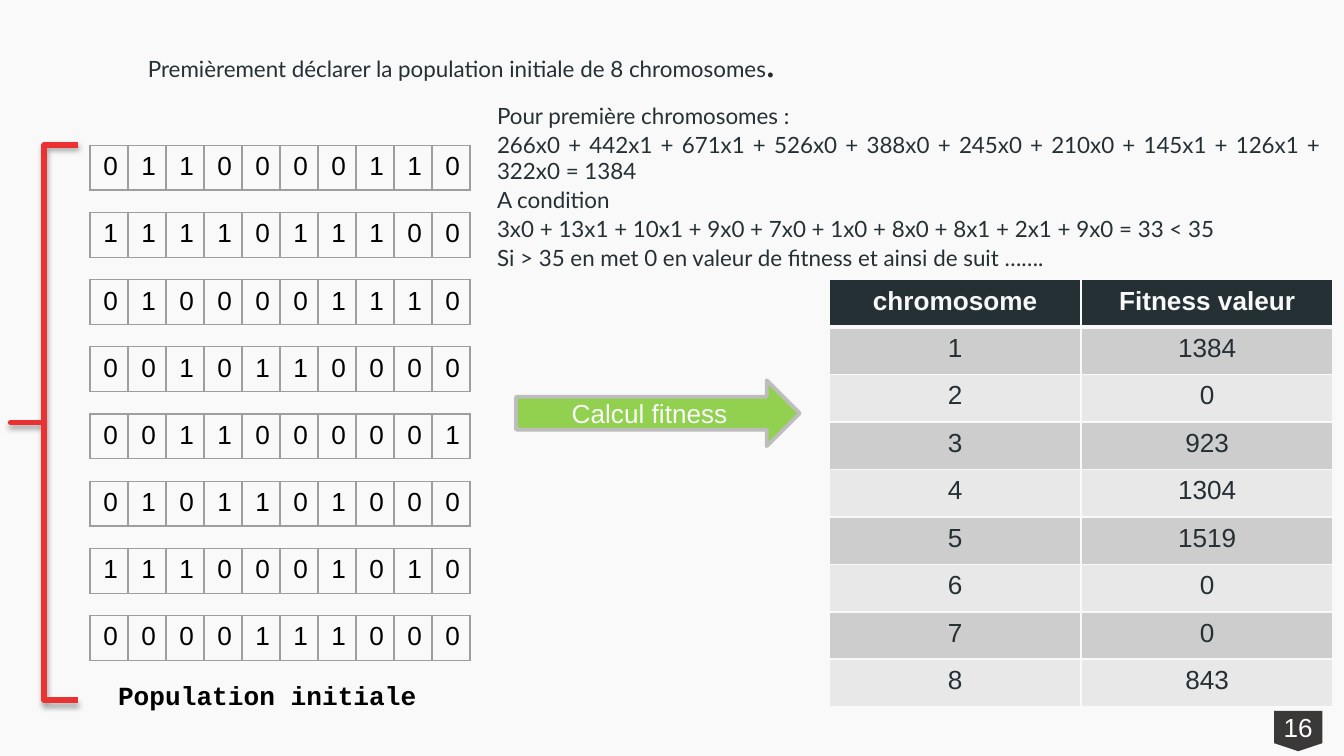
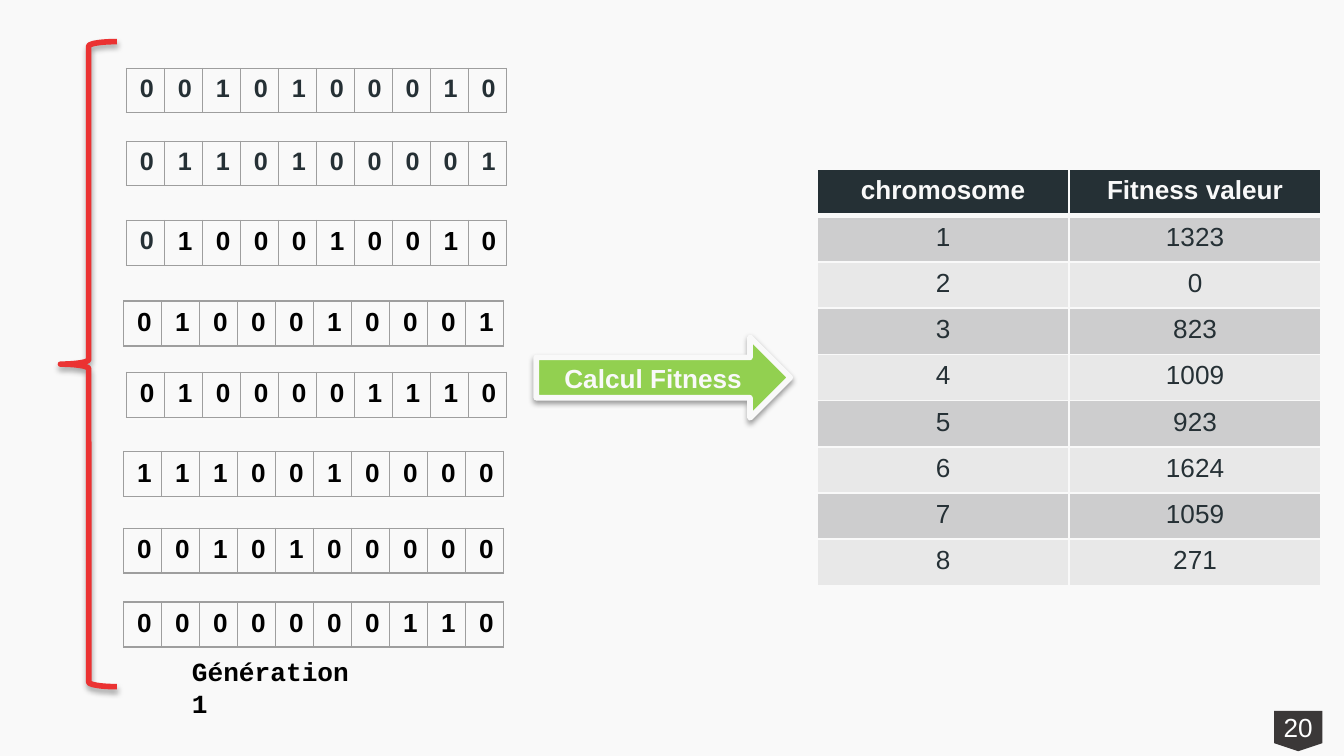
from dataclasses import dataclass
from lxml.etree import SubElement
from pptx import Presentation
from pptx.dml.color import RGBColor
from pptx.enum.shapes import MSO_SHAPE
from pptx.enum.text import MSO_ANCHOR, MSO_AUTO_SIZE, PP_ALIGN
from pptx.oxml.ns import qn
from pptx.util import Emu, Inches, Pt


@dataclass(frozen=True)
class Theme:
    paper: str = "F9F9F9"
    ink: str = "253035"
    black: str = "000000"
    title_dot: str = "292929"
    gene_border: str = "9E9E9E"
    arrow_border: str = "BDBDBD"
    brace: str = "EB3232"
    arrow: str = "92D050"
    badge: str = "3B3838"
    white: str = "FFFFFF"
    bands: tuple = ("CDCDCE", "E8E8E8")
    body_size: float = 12
    inherited_size: float = 13.5
    main_size: float = 14


@dataclass(frozen=True)
class Box:
    """A region in grid columns and rows."""
    left: float
    top: float
    width: float
    height: float

    @property
    def emu(self):
        return [grid(n) for n in (self.left, self.top, self.width, self.height)]


THEME = Theme()
GRID_STEP = Inches(0.1)
GRID_COLUMNS, GRID_ROWS = 100, 56.25


def grid(count):
    return Emu(round(count * GRID_STEP))


def font_format(name="Arial", size=THEME.main_size, color=THEME.black, bold=False):
    return {"name": name, "size": Pt(size), "bold": bold, "color": color}


TITLE = font_format("Lato", THEME.body_size, THEME.ink)
TITLE_DOT = font_format("TeX Gyre Schola", color=THEME.title_dot, bold=True)
CAPTION = font_format("Courier New", bold=True)
GENE = font_format()
BOLD_GENE = font_format(bold=True)
INHERITED_GENE = font_format(size=THEME.inherited_size, color=THEME.ink, bold=True)
HEADER = font_format(color=THEME.paper, bold=True)
VALUE = font_format(color=THEME.ink)
ARROW_LABEL = font_format(color=THEME.paper)
BADGE = font_format(color=THEME.white)


def add_span(para, text, font):
    span = para.add_run()
    span.text = text
    for name, value in font.items():
        if name == "color":
            span.font.color.rgb = RGBColor.from_string(value)
        else:
            setattr(span.font, name, value)


def set_format(target, **values):
    for name, value in values.items():
        setattr(target, name, value)


def paint(shape, fill=None, line=None, width=0, shadow=None):
    """Fill and outline a shape; shadow is (opacity %, blur pt, distance pt)."""
    shape.shadow.inherit = False
    if fill:
        shape.fill.solid()
        shape.fill.fore_color.rgb = RGBColor.from_string(fill)
    else:
        shape.fill.background()
    if line:
        shape.line.color.rgb = RGBColor.from_string(line)
        shape.line.width = Pt(width)
    else:
        shape.line.fill.background()
    if shadow:
        opacity, blur, distance = shadow
        effects = shape.element.spPr.find(qn("a:effectLst"))
        outer = SubElement(effects, qn("a:outerShdw"), blurRad=str(Pt(blur)),
                           dist=str(Pt(distance)), dir="5400000", rotWithShape="0")
        color = SubElement(outer, qn("a:srgbClr"), val=THEME.black)
        SubElement(color, qn("a:alpha"), val=str(opacity * 1000))


def set_borders(cell, color, width, **special):
    """Draw all four sides, with other widths for the sides named."""
    for side in "LRTB":
        line = SubElement(cell._tc.get_or_add_tcPr(), qn(f"a:ln{side}"),
                          w=str(Pt(special.get(side, width))))
        SubElement(SubElement(line, qn("a:solidFill")), qn("a:srgbClr"), val=color)


def add_grid_table(page, box, rows, columns):
    table = page.shapes.add_table(rows, columns, *box.emu).table
    table.horz_banding = False
    for column in table.columns:
        column.width = grid(box.width / columns)
    for row in table.rows:
        row.height = grid(box.height / rows)
    return table


def add_chromosome(page, left, top, genes, inherited, gene_font):
    """A strip of genes, the first ones in the inherited format."""
    table = add_grid_table(page, Box(left, top, 28.3, 3.3), 1, len(genes))
    table.first_row = False
    for index, gene in enumerate(genes):
        cell = table.cell(0, index)
        set_borders(cell, THEME.gene_border, 0.75)
        cell.fill.background()
        font = INHERITED_GENE if index < inherited else gene_font
        add_span(cell.text_frame.paragraphs[0], gene, font)


def add_fitness_table(page, box, values):
    rows = [("chromosome", "Fitness valeur")]
    rows += [(str(number), str(value)) for number, value in enumerate(values, 1)]
    table = add_grid_table(page, box, len(rows), 2)
    for index, row in enumerate(rows):
        special = {0: {"B": 3}, 1: {"T": 3}}.get(index, {})
        fill = THEME.bands[(index - 1) % 2] if index else THEME.ink
        for column, text in enumerate(row):
            cell = table.cell(index, column)
            set_borders(cell, THEME.paper, 1, **special)
            cell.fill.solid()
            cell.fill.fore_color.rgb = RGBColor.from_string(fill)
            para = cell.text_frame.paragraphs[0]
            para.alignment = PP_ALIGN.CENTER
            add_span(para, text, VALUE if index else HEADER)


def add_brace(page, box, curl):
    brace = page.shapes.add_shape(MSO_SHAPE.LEFT_BRACE, *box.emu)
    brace.adjustments[0] = curl
    paint(brace, line=THEME.brace, width=3, shadow=(35, 3.1, 1.8))


def add_arrow(page, box, label, bold=False, **look):
    arrow = page.shapes.add_shape(MSO_SHAPE.RIGHT_ARROW, *box.emu)
    paint(arrow, fill=THEME.arrow, **look)
    frame = arrow.text_frame
    set_format(frame, vertical_anchor=MSO_ANCHOR.MIDDLE, word_wrap=True)
    frame.paragraphs[0].alignment = PP_ALIGN.CENTER
    add_span(frame.paragraphs[0], label, ARROW_LABEL | {"bold": bold})


def add_text(page, box, paragraphs, indent=0, **frame_format):
    """Each paragraph is a list of (text, font) spans."""
    frame = page.shapes.add_textbox(*box.emu).text_frame
    set_format(frame, **{"word_wrap": True} | frame_format)
    for index, spans in enumerate(paragraphs):
        para = frame.paragraphs[0] if index == 0 else frame.add_paragraph()
        if index:
            para.space_before = Pt(1)
        if indent:
            para._p.get_or_add_pPr().set("marL", str(grid(indent)))
        for text, font in spans:
            add_span(para, text, font)
    return frame


def add_caption(page, box, text):
    add_text(page, box, [[(text, CAPTION)]], word_wrap=False,
             auto_size=MSO_AUTO_SIZE.SHAPE_TO_FIT_TEXT)


def add_title(page, box, text):
    add_text(page, box, [[(text, TITLE), (".", TITLE_DOT)]], indent=0.7,
             margin_left=0, margin_top=grid(0.2), margin_right=0, margin_bottom=0)


def add_explanation(page, box, lines):
    frame = add_text(page, box, [[(line, TITLE)] for line in lines], indent=0.1)
    for para in frame.paragraphs:
        para.alignment = PP_ALIGN.JUSTIFY


def add_page_badge(page, box, number):
    right, bottom = box.left + box.width, box.top + box.height
    shoulder = box.top + box.height * 0.8
    outline = [(box.left, shoulder), (box.left, box.top), (right, box.top),
               (right, shoulder)]
    builder = page.shapes.build_freeform(grid(box.left + box.width / 2), grid(bottom))
    builder.add_line_segments([(grid(x), grid(y)) for x, y in outline], close=True)
    badge = builder.convert_to_shape()
    paint(badge, fill=THEME.badge)
    frame = badge.text_frame
    set_format(frame, margin_left=0, margin_top=0, margin_right=0, margin_bottom=0,
               vertical_anchor=MSO_ANCHOR.TOP, word_wrap=True)
    frame.paragraphs[0].alignment = PP_ALIGN.CENTER
    add_span(frame.paragraphs[0], number, BADGE)


def start_page(deck, number):
    page = deck.slides.add_slide(deck.slide_layouts[6])
    page.background.fill.solid()
    page.background.fill.fore_color.rgb = RGBColor.from_string(THEME.paper)
    add_page_badge(page, Box(94.8, 52.9, 3.6, 3), number)
    return page


def build_initial_population(deck):
    page = start_page(deck, "16")
    add_title(page, Box(10.3, 3.6, 71.7, 2.5),
              "Premièrement déclarer la population initiale de 8 chromosomes")
    population = ("0110000110", "1111011100", "0100001110", "0010110000",
                  "0011000001", "0101101000", "1110001010", "0000111000")
    for index, genes in enumerate(population):
        add_chromosome(page, 6.7, 10.8 + 5 * index, genes, 0, GENE)
    add_brace(page, Box(0.8, 10.8, 5, 41.3), curl=0)
    add_caption(page, Box(7.8, 50.1, 30.5, 4), "Population initiale")
    add_arrow(page, Box(38.4, 28.3, 21.1, 4.9), "Calcul fitness",
              line=THEME.arrow_border, width=2)
    add_fitness_table(page, Box(61.7, 20.8, 37.5, 31.8),
                      (1384, 0, 923, 1304, 1519, 0, 0, 843))
    add_explanation(page, Box(35.9, 7.1, 63.4, 16), (
        "Pour première chromosomes :",
        "266x0 + 442x1 + 671x1 + 526x0 + 388x0 + 245x0 + 210x0 + 145x1 + 126x1 "
        "+ 322x0 = 1384",
        "A condition",
        "3x0 + 13x1 + 10x1 + 9x0 + 7x0 + 1x0 + 8x0 + 8x1 + 2x1 + 9x0 = 33 < 35",
        "Si > 35 en met 0 en valeur de fitness et ainsi de suit …….",
    ))


def build_first_generation(deck):
    page = start_page(deck, "20")
    generation = (
        (9.4, 5.1, "0010100010", 10),
        (9.4, 10.5, "0110100001", 10),
        (9.4, 16.4, "0100010010", 1),
        (9.2, 22.4, "0100010001", 0),
        (9.4, 27.7, "0100001110", 0),
        (9.2, 33.6, "1110010000", 0),
        (9.2, 39.3, "0010100000", 0),
        (9.2, 44.8, "0000000110", 0),
    )
    for left, top, genes, inherited in generation:
        add_chromosome(page, left, top, genes, inherited, BOLD_GENE)
    add_brace(page, Box(4.5, 3.1, 4.2, 48), curl=0.08)
    add_caption(page, Box(13.3, 48.3, 16, 3.4), "Génération 1")
    add_fitness_table(page, Box(60.8, 12.6, 37.5, 31),
                      (1323, 0, 823, 1009, 923, 1624, 1059, 271))
    add_arrow(page, Box(39.9, 25.1, 18.9, 6), "Calcul Fitness", bold=True,
              line=THEME.paper, width=3, shadow=(38, 3.1, 1.6))


def main():
    deck = Presentation()
    deck.slide_width, deck.slide_height = grid(GRID_COLUMNS), grid(GRID_ROWS)
    build_initial_population(deck)
    build_first_generation(deck)
    deck.save("out.pptx")


if __name__ == "__main__":
    main()
